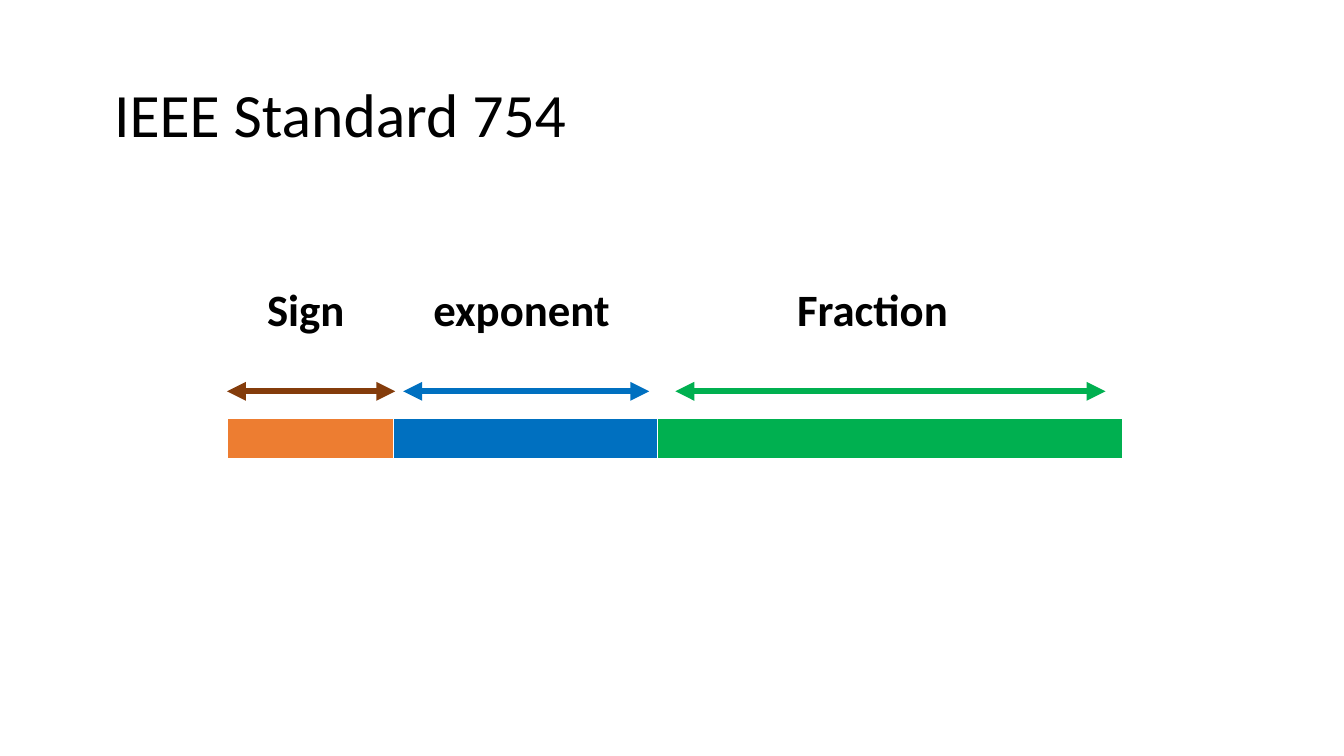
"""Build a slide showing the sign, exponent and fraction fields of IEEE 754."""
from dataclasses import dataclass

from lxml import etree
from pptx import Presentation
from pptx import util as u
from pptx.dml.color import RGBColor
from pptx.enum import shapes, text
from pptx.oxml.ns import qn

COLORS = {
    "black": "000000",
    "white": "FFFFFF",
    "orange": "ED7D31",
    "brown": "843C0B",
    "blue": "0070C0",
    "green": "00B050",
}
FONT = "Calibri"
BAR_LEFT, BAR_TOP, BAR_HEIGHT = 5.72, 10.54, 1.04
ARROW_Y = 9.86
LABEL_TOP, LABEL_HEIGHT = 6.98, 1.63
BORDERS = {"a:lnL": 1, "a:lnR": 1, "a:lnT": 1, "a:lnB": 3}


@dataclass(frozen=True)
class Field:
    name: str
    width: float
    fill: str
    arrow_color: str
    arrow_start: float
    arrow_end: float
    label_left: float
    label_width: float


FIELDS = [
    Field("Sign", 4.19, "orange", "brown", 5.72, 9.96, 6.48, 2.72),
    Field("exponent", 6.65, "blue", "blue", 10.16, 16.36, 10.67, 5.18),
    Field("Fraction", 11.73, "green", "green", 17.02, 27.86, 19.84, 5.18),
]


def rgb(name: str) -> RGBColor:
    return RGBColor.from_string(COLORS[name])


def write(tf, content: str, *, size: float, bold: bool = False,
          color: str = "black", spacing: float = 1.0,
          anchor=text.MSO_ANCHOR.TOP) -> None:
    tf.word_wrap = True
    tf.vertical_anchor = anchor
    p = tf.paragraphs[0]
    p.line_spacing = spacing
    r = p.add_run()
    r.text = content
    r.font.name = FONT
    r.font.size = u.Pt(size)
    r.font.bold = bold
    r.font.color.rgb = rgb(color)


def add_title(s, content: str) -> None:
    sp = s.shapes.title
    sp.left, sp.top = u.Cm(2.62), u.Cm(1.12)
    sp.width, sp.height = u.Cm(29.21), u.Cm(3.68)
    write(sp.text_frame, content, size=44, spacing=0.9,
          anchor=text.MSO_ANCHOR.MIDDLE)
    sp.text_frame.paragraphs[0].alignment = text.PP_ALIGN.LEFT


def add_borders(cell) -> None:
    tc_pr = cell._tc.get_or_add_tcPr()
    for i, (tag, width) in enumerate(BORDERS.items()):
        ln = etree.Element(qn(tag), w=str(u.Pt(width)))
        fill = etree.SubElement(ln, qn("a:solidFill"))
        etree.SubElement(fill, qn("a:srgbClr"), val=COLORS["white"])
        tc_pr.insert(i, ln)


def add_bar(s, fields: list[Field]) -> None:
    total = sum(f.width for f in fields)
    table = s.shapes.add_table(1, len(fields), u.Cm(BAR_LEFT), u.Cm(BAR_TOP),
                               u.Cm(total), u.Cm(BAR_HEIGHT)).table
    for i, field in enumerate(fields):
        table.columns[i].width = u.Cm(field.width)
        cell = table.cell(0, i)
        cell.fill.solid()
        cell.fill.fore_color.rgb = rgb(field.fill)
        add_borders(cell)


def add_arrow(s, field: Field) -> None:
    cxn = s.shapes.add_connector(
        shapes.MSO_CONNECTOR.STRAIGHT, u.Cm(field.arrow_start), u.Cm(ARROW_Y),
        u.Cm(field.arrow_end), u.Cm(ARROW_Y))
    cxn.line.color.rgb = rgb(field.arrow_color)
    cxn.line.width = u.Pt(4.5)
    ln = cxn.line._get_or_add_ln()
    for tag in ("a:headEnd", "a:tailEnd"):
        etree.SubElement(ln, qn(tag), type="triangle")
    etree.SubElement(cxn._element.spPr, qn("a:effectLst"))


def add_label(s, field: Field) -> None:
    sp = s.shapes.add_textbox(u.Cm(field.label_left), u.Cm(LABEL_TOP),
                              u.Cm(field.label_width), u.Cm(LABEL_HEIGHT))
    write(sp.text_frame, field.name, size=32, bold=True)
    sp.text_frame.auto_size = text.MSO_AUTO_SIZE.SHAPE_TO_FIT_TEXT


def main() -> None:
    prs = Presentation()
    prs.slide_width, prs.slide_height = u.Cm(33.87), u.Cm(19.05)
    s = prs.slides.add_slide(prs.slide_layouts.get_by_name("Title Only"))
    add_title(s, "IEEE Standard 754")
    add_bar(s, FIELDS)
    for field in FIELDS:
        add_arrow(s, field)
        add_label(s, field)
    prs.save("out.pptx")


main()
